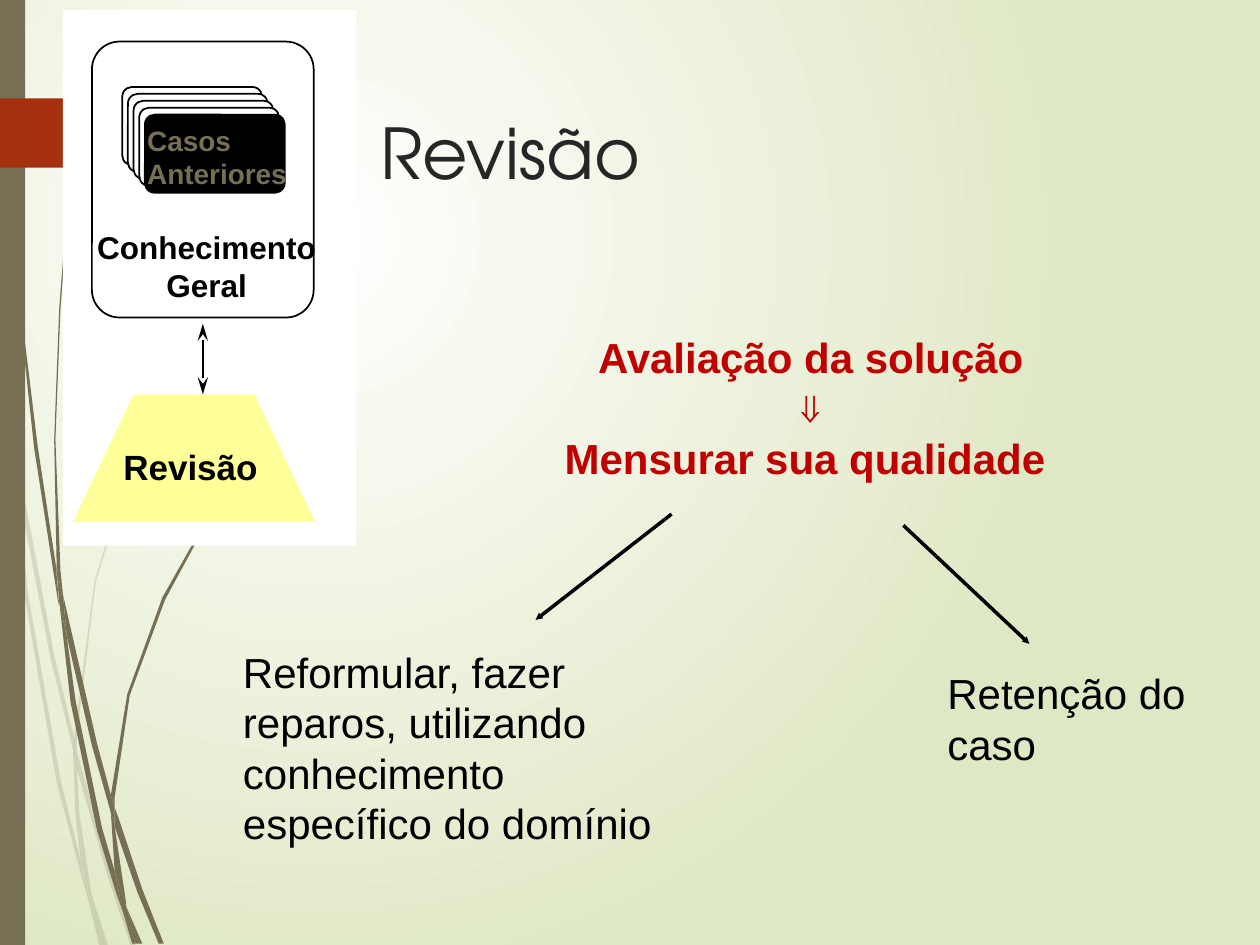
from lxml import etree
from pptx import Presentation
from pptx.dml.color import RGBColor
from pptx.enum.shapes import MSO_CONNECTOR as Connector, MSO_SHAPE as Shape
from pptx.enum.text import MSO_ANCHOR as Anchor, MSO_AUTO_SIZE as AutoSize, PP_ALIGN as Align
from pptx.oxml.ns import qn
from pptx.util import Inches, Pt

COLORS = {
    "white": "FFFFFF", "black": "000000", "mist": "DFE8C4", "olive": "766F54",
    "rust": "A53010", "title": "262626", "red": "C00000", "yellow": "FFFF99",
}

PALE_WISPS = [
    [(0.08, 3.5), (0.06, 3.22), (0, 2.82), (0, 2.99), (0.07, 3.44)],
    [(0.4, 5.22), (0.59, 5.99), (0.59, 5.86), (0.43, 5.2), (0.1, 3.45), (0.12, 3.76)],
    [(0.64, 6.07), (0.61, 5.96), (0.61, 6.1), (0.85, 6.94), (1.04, 7.51), (1.08, 7.51),
     (0.88, 6.92)],
    [(0.83, 7.51), (0.86, 7.51), (0.73, 7.11)],
    [(0.64, 6.83), (0.48, 6.19), (0.22, 4.69), (0.12, 3.76), (0.08, 3.5), (0.19, 4.7),
     (0.45, 6.21), (0.64, 6.93), (0.7, 7.14), (0.69, 7.07)],
    [(0.58, 5.99), (0.6, 6.46), (0.64, 6.83), (0.67, 6.92), (0.73, 7.11), (0.72, 7.06),
     (0.63, 6.46), (0.61, 6.1), (0.61, 6.08)],
    [(0.61, 5.84), (0.76, 4.62), (1.11, 3.49), (1.59, 2.45), (1.87, 1.98), (2.01, 1.75),
     (2.17, 1.54), (2.17, 1.53), (2.01, 1.75), (1.86, 1.97), (1.58, 2.44), (1.1, 3.48),
     (0.75, 4.61), (0.59, 5.84), (0.59, 5.86), (0.61, 5.96)],
    [(0.7, 7.14), (0.79, 7.51), (0.82, 7.51)],
    [(0.61, 6.08), (0.61, 6.1), (0.61, 5.96), (0.59, 5.86), (0.58, 5.99)],
    [(0.67, 6.92), (0.65, 6.83), (0.69, 7.07), (0.7, 7.14), (0.82, 7.51), (0.83, 7.51),
     (0.73, 7.11)],
]

DARK_WISPS = [
    [(0.05, 1.1), (0.14, 2.33), (0.27, 3.55), (0.46, 4.77), (0.47, 4.81), (0.45, 4.57),
     (0.45, 4.53), (0.3, 3.55), (0.15, 2.32), (0.06, 1.09), (0.04, 0.48), (0.03, 0),
     (0.02, 0), (0.03, 0.48)],
    [(0.73, 5.92), (0.88, 6.45), (0.88, 6.33), (0.88, 6.31), (0.77, 5.9), (0.5, 4.72),
     (0.53, 5.05)],
    [(0.94, 6.49), (0.91, 6.41), (0.91, 6.56), (1.09, 7.08), (1.26, 7.49), (1.3, 7.49),
     (1.13, 7.06)],
    [(0.91, 6.91), (0.81, 6.57), (0.6, 5.56), (0.53, 5.05), (0.47, 4.77), (0.56, 5.57),
     (0.77, 6.59), (0.92, 7.08), (0.97, 7.22), (0.96, 7.17)],
    [(0.5, 4.72), (0.48, 4.53), (0.44, 3.49), (0.48, 2.45), (0.52, 1.93), (0.58, 1.41),
     (0.51, 1.93), (0.47, 2.45), (0.43, 3.49), (0.45, 4.49), (0.49, 4.72)],
    [(1.1, 7.49), (1.13, 7.49), (1, 7.19)],
    [(0.47, 4.77), (0.53, 5.05), (0.5, 4.72), (0.49, 4.72), (0.45, 4.49), (0.45, 4.53)],
    [(0.91, 6.33), (1.03, 5.52), (1.31, 4.76), (1.69, 4.06), (1.91, 3.74), (2.03, 3.59),
     (2.16, 3.44), (2.15, 3.44), (2.03, 3.58), (1.91, 3.73), (1.68, 4.05), (1.29, 4.74),
     (1.01, 5.51), (0.88, 6.31), (0.91, 6.41)],
    [(0.97, 7.22), (1.05, 7.49), (1.08, 7.49)],
    [(0.88, 6.45), (0.91, 6.91), (0.96, 7.06), (1, 7.19), (1, 7.16), (0.91, 6.56),
     (0.9, 6.51)],
    [(0.88, 6.45), (0.9, 6.51), (0.91, 6.56), (0.91, 6.41), (0.88, 6.31), (0.88, 6.33)],
    [(0.96, 7.06), (0.91, 6.91), (0.96, 7.17), (0.97, 7.22), (1.08, 7.49), (1.1, 7.49),
     (1, 7.19)],
]

TAB = [(0, 0.78), (1.21, 0.78), (1.24, 0.79), (1.49, 1.04), (1.49, 1.07), (1.24, 1.32),
       (1.21, 1.33), (0, 1.33)]
TRAPEZOID = [(0.58, 4.14), (1.06, 3.13), (2.02, 3.13), (2.5, 4.14)]


def rgb(name):
    return RGBColor.from_string(COLORS[name])


def set_background(slide):
    fill = slide.background.fill
    fill.gradient()
    for stop, name in zip(fill.gradient_stops, ("white", "mist")):
        stop.color.rgb = rgb(name)
    gradient = slide.element.find(".//" + qn("a:gradFill"))
    gradient.remove(gradient.find(qn("a:lin")))
    circle = etree.SubElement(gradient, qn("a:path"), {"path": "circle"})
    etree.SubElement(circle, qn("a:fillToRect"), l="50000", t="50000", r="100000", b="100000")


def paint(shape, fill, line=None):
    shape.shadow.inherit = False
    if fill:
        shape.fill.solid()
        shape.fill.fore_color.rgb = rgb(fill)
    else:
        shape.fill.background()
    if line:
        shape.line.color.rgb = rgb(line)
        shape.line.width = Pt(1)
    else:
        shape.line.fill.background()


def add_box(shapes, kind, box, fill, line=None):
    shape = shapes.add_shape(kind, *map(Inches, box))
    paint(shape, fill, line)
    if kind == Shape.ROUNDED_RECTANGLE:
        shape.adjustments[0] = 0.125


def add_outline(shapes, points, fill, opacity=100):
    start, *rest = [(Inches(x), Inches(y)) for x, y in points]
    builder = shapes.build_freeform(*start)
    builder.add_line_segments(rest, close=True)
    shape = builder.convert_to_shape()
    paint(shape, fill)
    if opacity < 100:
        color = shape.element.spPr.find(qn("a:solidFill"))[0]
        etree.SubElement(color, qn("a:alpha"), val=str(opacity * 1000))


def add_text(shapes, box, text, size, color="black", font="Arial", bold=False,
             align=Align.LEFT, wrap=True, anchor=Anchor.TOP, grow=True):
    text_frame = shapes.add_textbox(*map(Inches, box)).text_frame
    text_frame.text = text
    text_frame.word_wrap = wrap
    text_frame.vertical_anchor = anchor
    text_frame.auto_size = AutoSize.SHAPE_TO_FIT_TEXT if grow else AutoSize.NONE
    for paragraph in text_frame.paragraphs:
        paragraph.alignment = align
        for run in paragraph.runs:
            run.font.name = font
            run.font.size = Pt(size)
            run.font.bold = bold
            run.font.color.rgb = rgb(color)


def add_arrow(shapes, start, end, width, ends, style):
    line = shapes.add_connector(Connector.STRAIGHT, *map(Inches, start + end))
    line.line.color.rgb = rgb("black")
    line.line.width = Pt(width)
    properties = line.line._get_or_add_ln()
    for tag in ends:
        etree.SubElement(properties, qn(tag), style)
    etree.SubElement(line._element.spPr, qn("a:effectLst"))


def add_decoration(shapes):
    for wisps, opacity in ((PALE_WISPS, 20), (DARK_WISPS, 100)):
        group = shapes.add_group_shape()
        for points in wisps:
            add_outline(group.shapes, points, "olive", opacity)
    add_box(shapes, Shape.RECTANGLE, (0, 0, 0.2, 7.5), "olive")
    add_outline(shapes, TAB, "rust")


def add_cycle_panel(shapes):
    panel = shapes.add_group_shape().shapes
    add_box(panel, Shape.RECTANGLE, (0.5, 0.08, 2.33, 4.25), "white")
    add_box(panel, Shape.ROUNDED_RECTANGLE, (0.73, 0.33, 1.76, 2.19), None, "black")
    for index in range(5):
        card = (0.97 + 0.045 * index, 0.69 + 0.055 * index, 1.11, 0.62)
        fill = "black" if index == 4 else "white"
        add_box(panel, Shape.ROUNDED_RECTANGLE, card, fill, "black")
    add_text(panel, (0.67, 1.76, 1.94, 0.7), "Conhecimento\nGeral", 18, bold=True,
             align=Align.CENTER, wrap=False)
    add_text(panel, (1.07, 0.93, 1.45, 0.64), "Casos Anteriores", 16, "olive", bold=True)
    add_arrow(panel, (1.61, 3.13), (1.61, 2.57), 1, ("a:headEnd", "a:tailEnd"),
              {"type": "stealth", "w": "med", "len": "lg"})
    add_outline(panel, TRAPEZOID, "yellow")
    add_text(panel, (0.88, 3.49, 1.42, 0.43), "Revisão", 20, bold=True)


def main():
    presentation = Presentation()
    presentation.slide_width, presentation.slide_height = Inches(10), Inches(7.5)
    slide = presentation.slides.add_slide(presentation.slide_layouts[6])
    shapes = slide.shapes
    set_background(slide)
    add_decoration(shapes)
    add_text(shapes, (2.92, 0.58, 4.05, 1.25), "Revisão", 40, "title", "TeX Gyre Adventor",
             anchor=Anchor.MIDDLE, grow=False)
    add_text(shapes, (4.36, 2.58, 4.15, 1.31),
             "Avaliação da solução\n⇓\nMensurar sua qualidade ", 24, "red", bold=True,
             align=Align.CENTER, wrap=False)
    add_cycle_panel(shapes)
    add_text(shapes, (1.83, 5.08, 3.52, 1.7),
             "Reformular, fazer reparos, utilizando conhecimento específico do domínio", 24)
    add_text(shapes, (7.42, 5.25, 2.18, 0.9), "Retenção do caso", 24)
    for start, end in (((5.33, 4.08), (4.25, 4.92)), ((7.17, 4.17), (8.17, 5.11))):
        add_arrow(shapes, start, end, 2, ("a:tailEnd",),
                  {"type": "triangle", "w": "sm", "len": "sm"})
    presentation.save("out.pptx")


if __name__ == "__main__":
    main()
